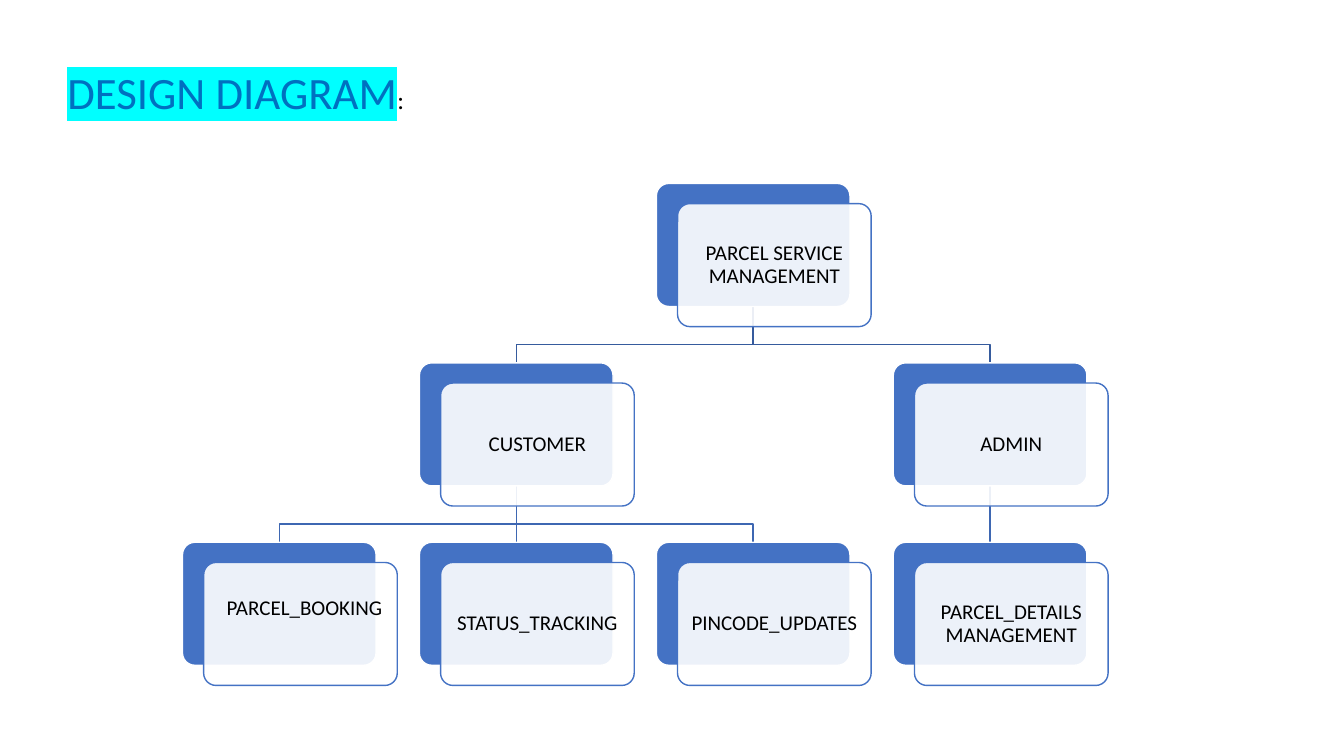
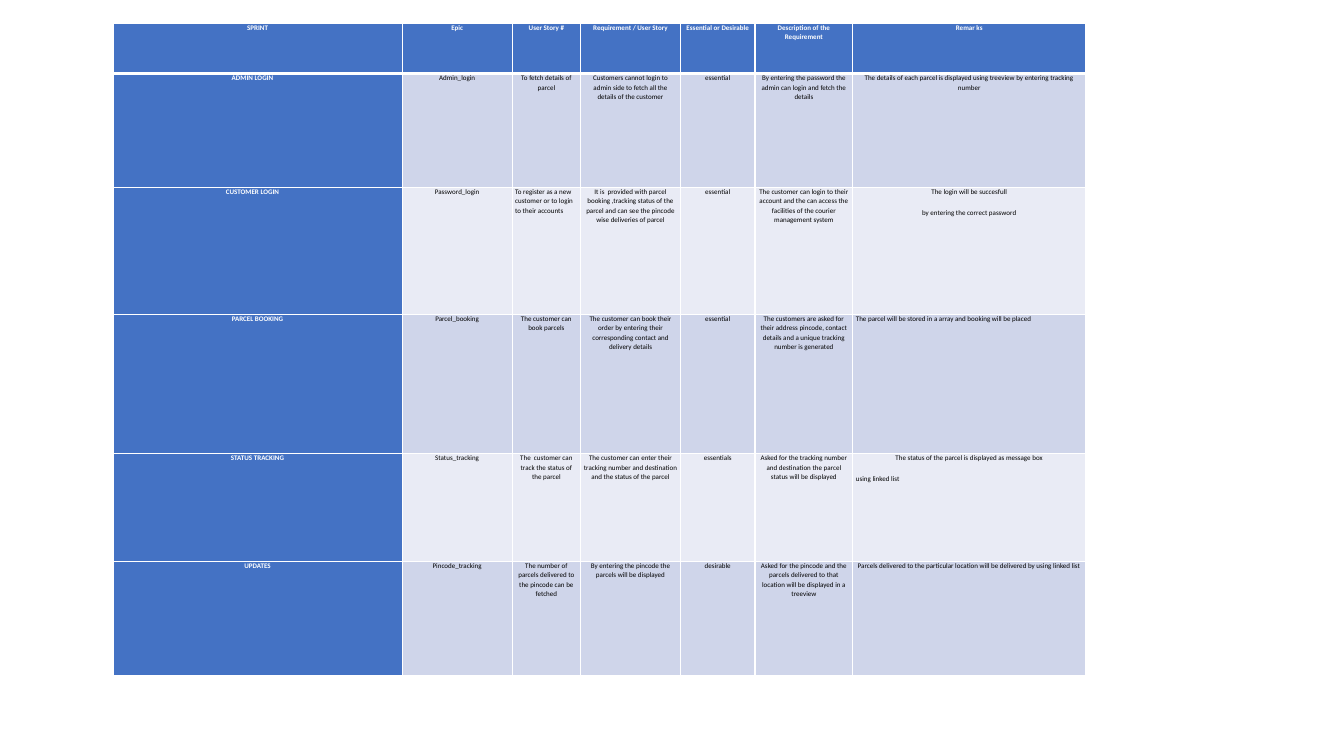
from dataclasses import dataclass
from typing import Optional

from lxml import etree
from pptx import Presentation
from pptx.dml.color import RGBColor
from pptx.enum.shapes import MSO_CONNECTOR, MSO_SHAPE
from pptx.enum.text import MSO_ANCHOR, PP_ALIGN
from pptx.oxml.ns import qn
from pptx.util import Inches, Pt

STRAIGHT = MSO_CONNECTOR.STRAIGHT
ROUNDED = MSO_SHAPE.ROUNDED_RECTANGLE
MIDDLE = MSO_ANCHOR.MIDDLE
CENTER, LEFT = PP_ALIGN.CENTER, PP_ALIGN.LEFT

FONT = "Calibri"
BLACK = RGBColor(0x00, 0x00, 0x00)
WHITE = RGBColor(0xFF, 0xFF, 0xFF)
BLUE = RGBColor(0x44, 0x72, 0xC4)
TITLE_BLUE = RGBColor(0x00, 0x70, 0xC0)
CYAN = RGBColor(0x00, 0xFF, 0xFF)
BAND_DARK = RGBColor(0xCF, 0xD5, 0xEA)
BAND_LIGHT = RGBColor(0xE9, 0xEB, 0xF5)
LINK_COLORS = (RGBColor(0x36, 0x5B, 0x9D), RGBColor(0x3E, 0x67, 0xB2))

CARD_W, CARD_H = 1.92, 1.22
GRID_X, GRID_Y = 1.81, 1.82
PITCH_X, PITCH_Y = 2.35, 1.78
FRONT_DX, FRONT_DY = 0.21, 0.2
BEND_GAP = 0.18
CARD_INSET = 0.06


@dataclass(frozen=True)
class Node:
    text: str
    col: int
    row: int
    parent: Optional["Node"] = None
    pad_left: float = 0
    pad_bottom: float = 0

    @property
    def x(self) -> float:
        return GRID_X + self.col * PITCH_X

    @property
    def y(self) -> float:
        return GRID_Y + self.row * PITCH_Y

    @property
    def mid(self) -> float:
        return self.x + CARD_W / 2


ROOT = Node("PARCEL SERVICE MANAGEMENT", 2, 0)
CUSTOMER = Node("CUSTOMER", 1, 1, ROOT)
ADMIN = Node("ADMIN", 3, 1, ROOT)
NODES = (
    ROOT,
    CUSTOMER,
    Node("PARCEL_BOOKING", 0, 2, CUSTOMER, pad_left=0.08, pad_bottom=0.3),
    Node("STATUS_TRACKING", 1, 2, CUSTOMER),
    Node("PINCODE_UPDATES", 2, 2, CUSTOMER),
    ADMIN,
    Node("PARCEL_DETAILS MANAGEMENT", 3, 2, ADMIN),
)

COL_WIDTHS = (2.87, 1.09, 0.68, 0.99, 0.74, 0.97, 2.31)
ROW_HEIGHTS = (0.5, 1.13, 1.26, 1.38, 1.07, 1.13)
BACKLOG = (
    ("SPRINT", "Epic", "User Story #", "Requirement / User Story",
     "Essential or Desirable", "Description of the Requirement", "Remar ks"),
    ("ADMIN LOGIN", "Admin_login", "To fetch details of parcel",
     "Customers cannot login to admin side to fetch all the details of the customer",
     "essential",
     "By entering the password the admin can login and fetch the details",
     "The details of each parcel is displayed using treeview by entering tracking number"),
    ("CUSTOMER LOGIN", "Password_login",
     "To register as a new customer or to login to their accounts",
     "It is  provided with parcel booking ,tracking status of the parcel "
     "and can see the pincode wise deliveries of parcel",
     "essential",
     "The customer can login to their account and the can access "
     "the facilities of the courier management system",
     "The login will be succesfull\nby entering the correct password"),
    ("PARCEL BOOKING", "Parcel_booking", "The customer can book parcels",
     "The customer can book their order by entering their corresponding "
     "contact and delivery details",
     "essential",
     "The customers are asked for their address pincode, contact details "
     "and a unique tracking number is generated",
     "The parcel will be stored in a array and booking will be placed"),
    ("STATUS TRACKING", "Status_tracking",
     "The  customer can track the status of the parcel",
     "The customer can enter their tracking number and destination "
     "and the status of the parcel",
     "essentials",
     "Asked for the tracking number and destination the parcel status will be displayed",
     "The status of the parcel is displayed as message box\nusing linked list"),
    ("UPDATES", "Pincode_tracking",
     "The number of parcels delivered to the pincode can be fetched",
     "By entering the pincode the parcels will be displayed",
     "desirable",
     "Asked for the pincode and the parcels delivered to that location "
     "will be displayed in a treeview",
     "Parcels delivered to the particular location will be delivered by using linked list"),
)
LEFT_PARAGRAPHS = {(2, 2, 0), (3, 6, 0), (4, 6, 1)}
SHIFTED_CELLS = {(1, 0), (2, 0)}


def add_text(p, text: str, *, size: float, color: RGBColor = BLACK,
             bold: bool = False, highlight: Optional[RGBColor] = None,
             align=None, spacing: Optional[float] = None, after: float = 0) -> None:
    p.alignment = align
    p.line_spacing = spacing
    p.space_after = Pt(after)
    r = p.add_run()
    r.text = text
    r.font.size = Pt(size)
    r.font.name = FONT
    r.font.bold = bold
    r.font.color.rgb = color
    if highlight is not None:
        mark = etree.Element(qn("a:highlight"))
        etree.SubElement(mark, qn("a:srgbClr"), val=str(highlight))
        r.font.fill._xPr.find(qn("a:solidFill")).addnext(mark)


def add_title(s, text: str) -> None:
    tf = s.shapes.add_textbox(Inches(0.57), Inches(0.59),
                              Inches(4.26), Inches(0.64)).text_frame
    tf.word_wrap = True
    p = tf.paragraphs[0]
    add_text(p, text, size=32, color=TITLE_BLUE, highlight=CYAN)
    add_text(p, ":", size=18)


def add_link(s, parent: Node, child: Node) -> None:
    start, end = parent.y + CARD_H, child.y
    if parent.col == child.col:
        link = s.shapes.add_connector(STRAIGHT, Inches(parent.mid), Inches(start),
                                      Inches(child.mid), Inches(end))
        etree.SubElement(link._element.spPr, qn("a:effectLst"))
    else:
        bend = end - BEND_GAP
        points = ((parent.mid, bend), (child.mid, bend), (child.mid, end))
        outline = s.shapes.build_freeform(Inches(parent.mid), Inches(start))
        outline.add_line_segments([(Inches(x), Inches(y)) for x, y in points],
                                  close=False)
        link = outline.convert_to_shape()
        link.fill.background()
        link.shadow.inherit = False
    link.line.color.rgb = LINK_COLORS[parent.row]
    link.line.width = Pt(1)


def add_card(s, x: float, y: float, fill: RGBColor, line: RGBColor):
    card = s.shapes.add_shape(ROUNDED, Inches(x), Inches(y),
                              Inches(CARD_W), Inches(CARD_H))
    card.adjustments[0] = 0.1
    card.shadow.inherit = False
    card.fill.solid()
    card.fill.fore_color.rgb = fill
    card.line.color.rgb = line
    card.line.width = Pt(1)
    return card


def add_node(s, node: Node) -> None:
    add_card(s, node.x, node.y, BLUE, WHITE)
    front = add_card(s, node.x + FRONT_DX, node.y + FRONT_DY, WHITE, BLUE)
    color = front._element.spPr.find(qn("a:solidFill")).find(qn("a:srgbClr"))
    etree.SubElement(color, qn("a:alpha"), val="90000")
    tf = front.text_frame
    tf.word_wrap = True
    tf.vertical_anchor = MIDDLE
    tf.margin_top = tf.margin_right = Inches(CARD_INSET)
    tf.margin_left = Inches(CARD_INSET + node.pad_left)
    tf.margin_bottom = Inches(CARD_INSET + node.pad_bottom)
    add_text(tf.paragraphs[0], node.text, size=15, align=CENTER, spacing=0.9)


def set_borders(cell, header: bool) -> None:
    tc_pr = cell._tc.get_or_add_tcPr()
    for side in ("lnL", "lnR", "lnT", "lnB"):
        width = Pt(3 if header and side == "lnB" else 1)
        ln = etree.SubElement(tc_pr, qn(f"a:{side}"), w=str(width))
        fill = etree.SubElement(ln, qn("a:solidFill"))
        etree.SubElement(fill, qn("a:srgbClr"), val=str(WHITE))


def fill_cell(cell, row: int, col: int, text: str) -> None:
    strong = row == 0 or col == 0
    set_borders(cell, row == 0)
    cell.fill.solid()
    cell.fill.fore_color.rgb = BLUE if strong else (BAND_DARK if row % 2 else BAND_LIGHT)
    cell.margin_left = Inches(0.03)
    cell.margin_right = Inches(0.13 if (row, col) in SHIFTED_CELLS else 0.03)
    cell.margin_top = cell.margin_bottom = 0
    tf = cell.text_frame
    for i, line in enumerate(text.split("\n")):
        p = tf.add_paragraph() if i else tf.paragraphs[0]
        add_text(p, line, size=5, color=WHITE if strong else BLACK, bold=strong,
                 align=LEFT if (row, col, i) in LEFT_PARAGRAPHS else CENTER,
                 spacing=1.07, after=8)


def build_diagram(s) -> None:
    for node in NODES:
        if node.parent:
            add_link(s, node.parent, node)
    for node in NODES:
        add_node(s, node)
    add_title(s, "DESIGN DIAGRAM")


def build_backlog(s) -> None:
    table = s.shapes.add_table(len(ROW_HEIGHTS), len(COL_WIDTHS),
                               Inches(1.12), Inches(0.23),
                               Inches(sum(COL_WIDTHS)), Inches(sum(ROW_HEIGHTS))).table
    for column, width in zip(table.columns, COL_WIDTHS):
        column.width = Inches(width)
    for i, (texts, height) in enumerate(zip(BACKLOG, ROW_HEIGHTS)):
        table.rows[i].height = Inches(height)
        for j, text in enumerate(texts):
            fill_cell(table.cell(i, j), i, j, text)


def main() -> None:
    prs = Presentation()
    prs.slide_width, prs.slide_height = Inches(13.33), Inches(7.5)
    for build in (build_diagram, build_backlog):
        build(prs.slides.add_slide(prs.slide_layouts[6]))
    prs.save("out.pptx")


if __name__ == "__main__":
    main()
